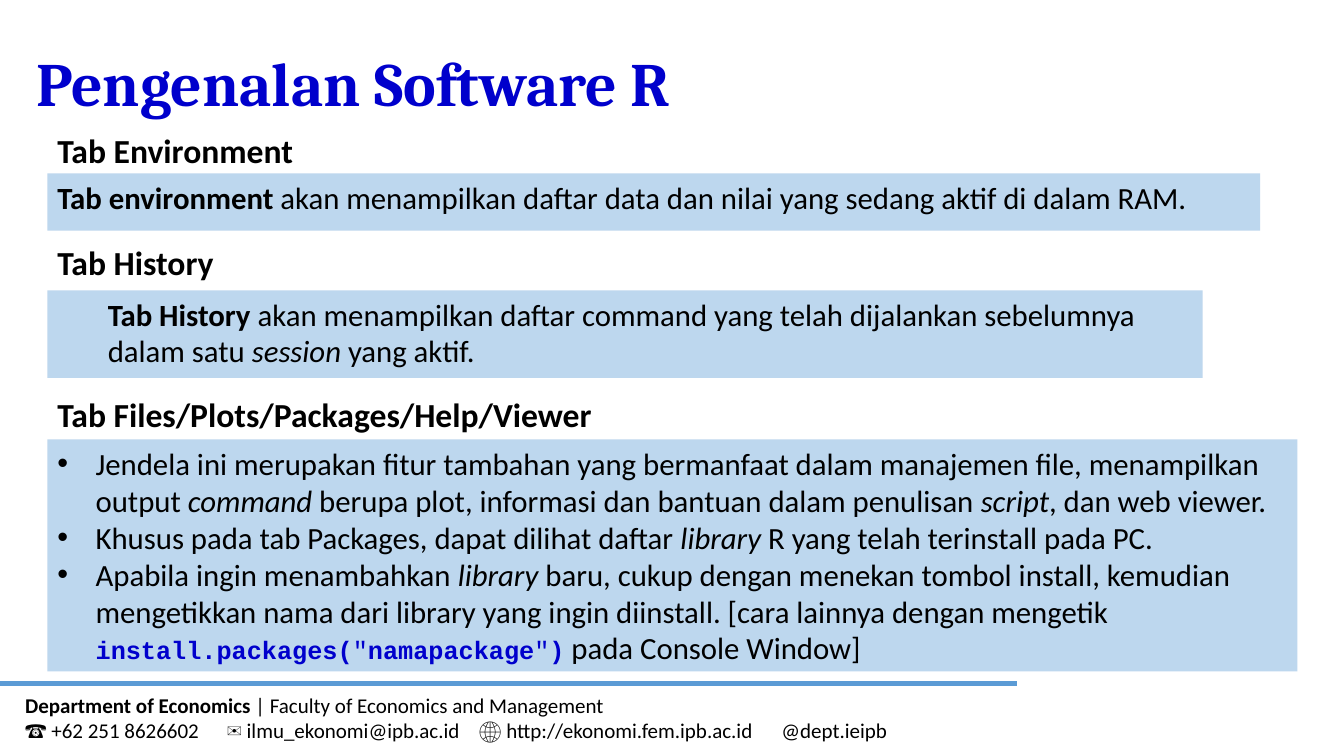
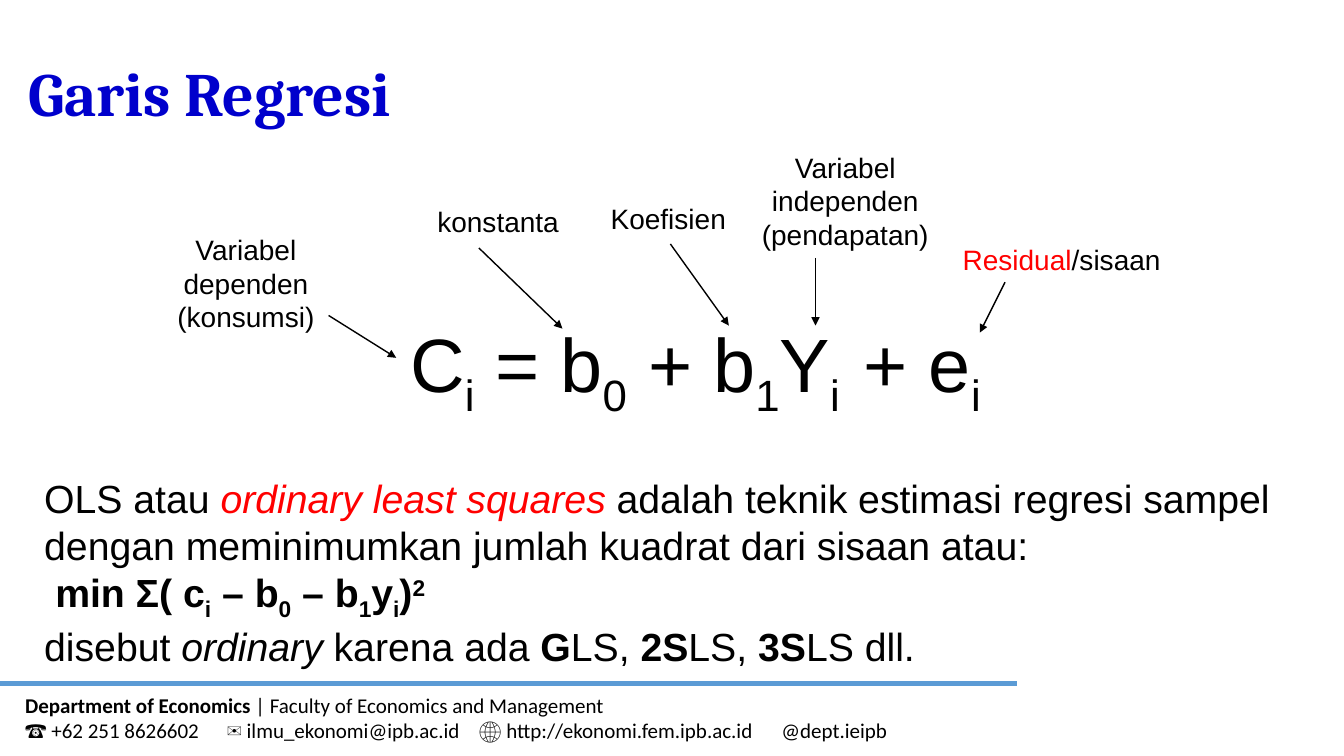
from lxml.etree import SubElement
from pptx import Presentation
from pptx.dml.color import RGBColor
from pptx.enum.shapes import MSO_CONNECTOR as CONNECTOR, MSO_SHAPE as SHAPE
from pptx.enum.text import MSO_ANCHOR as ANCHOR, MSO_AUTO_SIZE as AUTO_SIZE, PP_ALIGN as ALIGN
from pptx.oxml.ns import qn
from pptx.util import Inches, Pt

# Colours
BLACK = RGBColor(0x00, 0x00, 0x00)
RED = RGBColor(0xFF, 0x00, 0x00)
DEEP_BLUE = RGBColor(0x00, 0x00, 0xCC)
LINE_BLUE = RGBColor(0x5B, 0x9B, 0xD5)
PANEL_BLUE = RGBColor(0xBD, 0xD7, 0xEE)

# Run formats
BOLD = {"bold": True}
ITALIC = {"italic": True}
RED_TEXT = {"color": RED}
SUBSCRIPT = {"baseline": -25}
BOLD_SUBSCRIPT = BOLD | SUBSCRIPT
BOLD_SUPERSCRIPT = BOLD | {"baseline": 30}
CODE = {"font": "Courier New", "size": 18, "color": DEEP_BLUE}
BOLD_CODE = CODE | BOLD


def format_run(run, font, size, color=BLACK, bold=False, italic=False, baseline=0):
    run.font.name = font
    run.font.size = Pt(size)
    run.font.color.rgb = color
    run.font.bold = bold
    run.font.italic = italic
    if baseline:
        run._r.get_or_add_rPr().set("baseline", str(baseline * 1000))


def write(shape, paragraphs, align=ALIGN.LEFT, anchor=ANCHOR.TOP, spacing=None,
          indents=(), bullet=None, tabs=(), **run_format):
    """Each paragraph is a list of runs: a string, or a string with its own format."""
    frame = shape.text_frame
    frame.word_wrap = True
    frame.auto_size = AUTO_SIZE.NONE
    frame.vertical_anchor = anchor
    for index, runs in enumerate(paragraphs):
        paragraph = frame.paragraphs[0] if index == 0 else frame.add_paragraph()
        paragraph.alignment = align
        if spacing:
            paragraph.line_spacing = spacing
        properties = paragraph._p.get_or_add_pPr()
        indent = indents[index] if indents else 0
        properties.set("marL", str(Inches(indent)))
        properties.set("indent", str(-Inches(indent) if bullet else 0))
        if bullet:
            SubElement(properties, qn("a:buFont"), typeface="Arial")
            SubElement(properties, qn("a:buChar"), char=bullet)
        if tabs:
            tab_list = SubElement(properties, qn("a:tabLst"))
            for position in tabs:
                SubElement(tab_list, qn("a:tab"), pos=str(Inches(position)), algn="l")
        for item in runs:
            text, own_format = (item, {}) if isinstance(item, str) else item
            run = paragraph.add_run()
            run.text = text
            format_run(run, **(run_format | own_format))


class Deck:
    """Shared style and current slide; places are percentages of the slide's size."""
    TITLE = {"font": "Cambria", "size": 44, "color": DEEP_BLUE, "bold": True}
    HEADING = {"font": "Calibri", "size": 24, "bold": True}
    PANEL = {"font": "Calibri", "size": 22}
    FOOTER = {"font": "Calibri", "size": 15}
    LABEL = {"font": "Arial", "size": 20}
    LEFT = 3.53

    def __init__(self):
        self.presentation = Presentation()
        self.presentation.slide_width = Inches(13.33)
        self.presentation.slide_height = Inches(7.5)
        self.slide = None

    def x(self, share):
        return round(self.presentation.slide_width * share / 100)

    def y(self, share):
        return round(self.presentation.slide_height * share / 100)

    def box(self, left, top, width, height):
        return self.x(left), self.y(top), self.x(width), self.y(height)

    def new_slide(self, title, left, top):
        self.slide = self.presentation.slides.add_slide(self.presentation.slide_layouts[5])
        shape = self.slide.shapes.title
        shape.left, shape.top, shape.width, shape.height = self.box(left, top, 91.8, 19.33)
        write(shape, [[title]], anchor=ANCHOR.MIDDLE, spacing=0.9, **self.TITLE)
        self.footer()

    def footer(self):
        self.line((0, 90.4), (75.68, 90.4), LINE_BLUE, 3)
        self.text((1.13, 90.93, 73.35, 8.13), [
            [("Department of Economics ", BOLD), "| Faculty of Economics and Management"],
            ["☎ +62 251 8626602\t✉ ilmu_ekonomi@ipb.ac.id\t", ("🌐 ", BOLD),
             "http://ekonomi.fem.ipb.ac.id\t@dept.ieipb"],
        ], tabs=(1.82, 4.22, 7.32), **self.FOOTER)

    def text(self, place, paragraphs, **text_format):
        write(self.slide.shapes.add_textbox(*self.box(*place)), paragraphs, **text_format)

    def heading(self, text, top):
        self.text((self.LEFT, top, 77.55, 6.67), [[text]], **self.HEADING)

    def panel(self, top, width, height, paragraphs, **text_format):
        place = self.box(self.LEFT, top, width, height)
        shape = self.slide.shapes.add_shape(SHAPE.RECTANGLE, *place)
        shape.shadow.inherit = False
        shape.fill.solid()
        shape.fill.fore_color.rgb = PANEL_BLUE
        shape.line.fill.background()
        write(shape, paragraphs, **(self.PANEL | text_format))

    def line(self, start, end, color=BLACK, width=1, arrow=False):
        connector = self.slide.shapes.add_connector(
            CONNECTOR.STRAIGHT, self.x(start[0]), self.y(start[1]), self.x(end[0]), self.y(end[1]))
        connector.line.color.rgb = color
        connector.line.width = Pt(width)
        if arrow:
            SubElement(connector.line._get_or_add_ln(), qn("a:tailEnd"), type="triangle")
        SubElement(connector._element.spPr, qn("a:effectLst"))

    def label(self, place, runs, start, end, align=ALIGN.LEFT):
        self.text(place, [runs], align=align, **self.LABEL)
        self.line(start, end, arrow=True)


def add_software_slide(deck):
    deck.new_slide("Pengenalan Software R", 1.95, 1.73)

    deck.heading("Tab Environment", 16.53)
    deck.panel(22.93, 90.23, 7.6, [[
        ("Tab environment ", BOLD),
        "akan menampilkan daftar data dan nilai yang sedang aktif di dalam RAM."]])

    deck.heading("Tab History", 31.33)
    deck.panel(38.4, 85.95, 11.6, [[
        ("Tab History ", BOLD),
        "akan menampilkan daftar command yang telah dijalankan sebelumnya dalam satu ",
        ("session", ITALIC), " yang aktif."]], indents=(0.5,))

    deck.heading("Tab Files/Plots/Packages/Help/Viewer", 51.47)
    deck.panel(58.13, 93, 30.67, [
        ["Jendela ini merupakan fitur tambahan yang bermanfaat dalam manajemen file, "
         "menampilkan output ", ("command ", ITALIC),
         "berupa plot, informasi dan bantuan dalam penulisan ", ("script", ITALIC),
         ", dan web viewer."],
        ["Khusus pada tab Packages, dapat dilihat daftar ", ("library", ITALIC),
         " R yang telah terinstall pada PC."],
        ["Apabila ingin menambahkan ", ("library ", ITALIC),
         "baru, cukup dengan menekan tombol install, kemudian mengetikkan nama dari library "
         "yang ingin diinstall. [cara lainnya dengan mengetik ",
         ("install.packages(", BOLD_CODE), ('"', CODE), ("namapackage", BOLD_CODE),
         ('"', CODE), (")", BOLD_CODE), " pada Console Window]"],
    ], indents=(0.38,) * 3, bullet="•")


def add_regression_slide(deck):
    deck.new_slide("Garis Regresi", 1.35, 3.07)

    # Labels with their arrows
    deck.label((11.7, 30.13, 13.2, 14.8), ["Variabel dependen (konsumsi)"],
               (24.45, 41.73), (29.48, 47.33), ALIGN.CENTER)
    deck.label((31.8, 26.4, 12.53, 5.73), ["konstanta"], (35.63, 32.8), (41.85, 43.47))
    deck.label((42.75, 26, 13.95, 5.73), ["Koefisien"],
               (49.88, 32.27), (54.23, 43.07), ALIGN.CENTER)
    deck.label((55.13, 19.2, 15.53, 14.8), ["Variabel independen (pendapatan)"],
               (60.68, 34.13), (60.68, 43.07), ALIGN.CENTER)
    deck.label((70.88, 31.47, 18.08, 5.73), [("Residual", RED_TEXT), "/sisaan"],
               (74.78, 37.33), (72.9, 44))

    # Regression equation
    deck.text((29.78, 41.33, 48.45, 13.47), [[
        "C", ("i", SUBSCRIPT), " = b", ("0", SUBSCRIPT), " + b", ("1", SUBSCRIPT),
        "Y", ("i", SUBSCRIPT), "\t+ e", ("i", SUBSCRIPT)]],
        tabs=(4.66,), font="Arial", size=54)

    # Explanation of least squares
    deck.text((2.55, 62.13, 94.35, 27.33), [
        ["OLS atau ", ("ordinary least squares ", RED_TEXT | ITALIC),
         "adalah teknik estimasi regresi sampel dengan meminimumkan jumlah kuadrat "
         "dari sisaan atau:"],
        [("min Σ( c", BOLD), ("i", BOLD_SUBSCRIPT), (" – b", BOLD), ("0", BOLD_SUBSCRIPT),
         (" – b", BOLD), ("1", BOLD_SUBSCRIPT), ("y", BOLD), ("i", BOLD_SUBSCRIPT),
         (")", BOLD), ("2", BOLD_SUPERSCRIPT)],
        ["disebut ", ("ordinary ", ITALIC), "karena ada ", ("G", BOLD), "LS, ",
         ("2S", BOLD), "LS, ", ("3S", BOLD), "LS dll."],
    ], indents=(0, 0.11, 0), font="Arial", size=28)


def main():
    deck = Deck()
    add_software_slide(deck)
    add_regression_slide(deck)
    deck.presentation.save("out.pptx")


if __name__ == "__main__":
    main()
